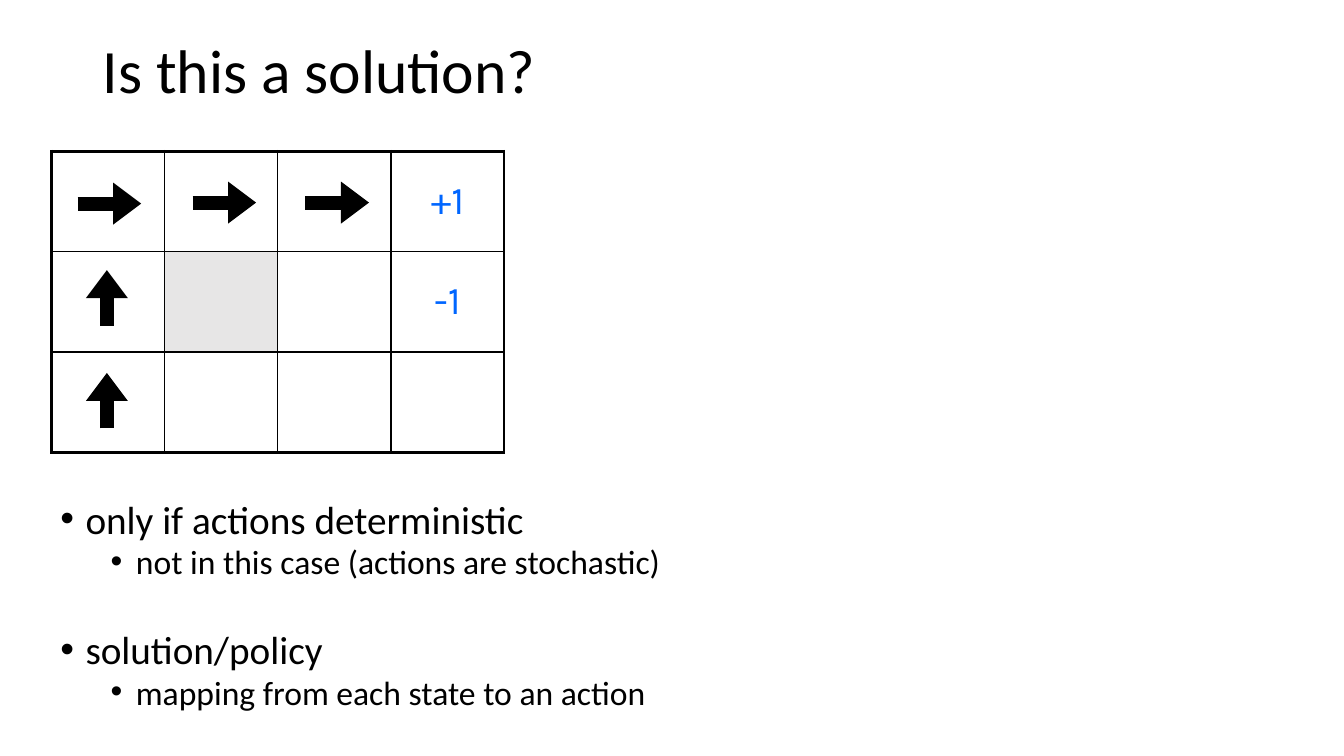
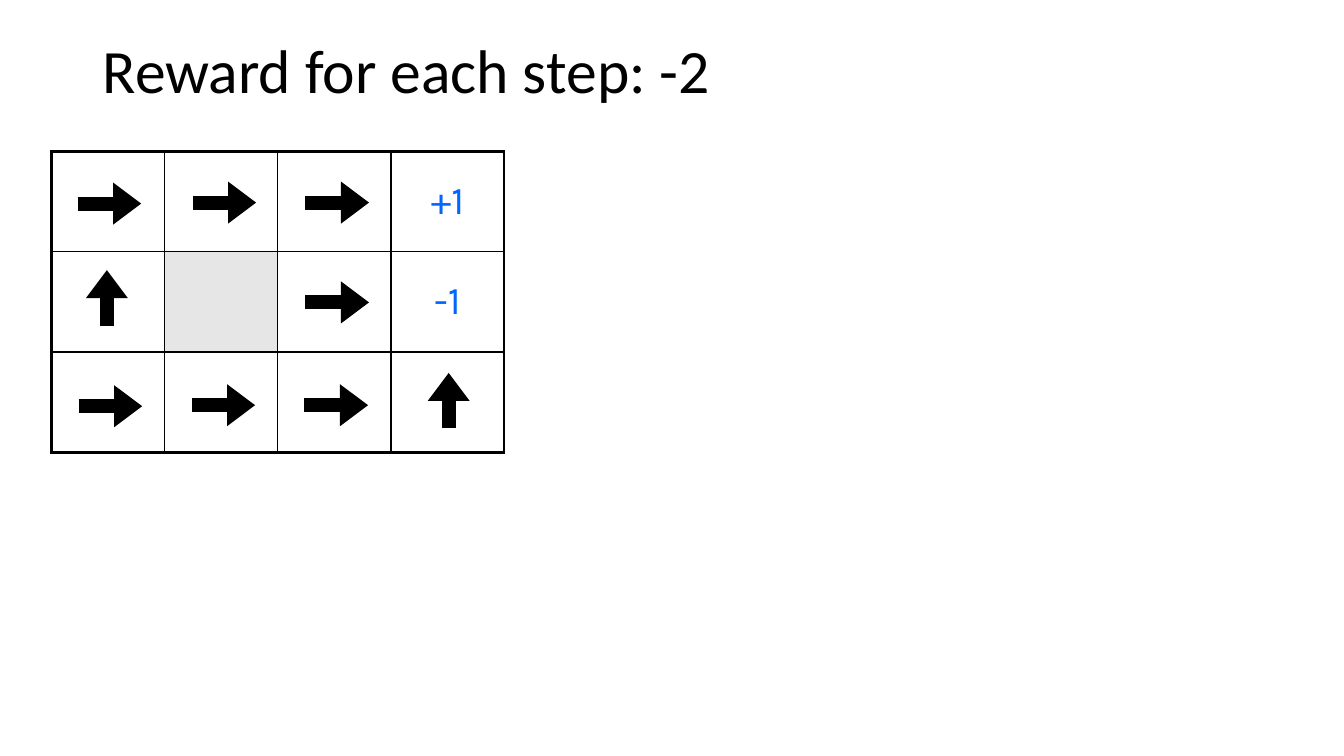
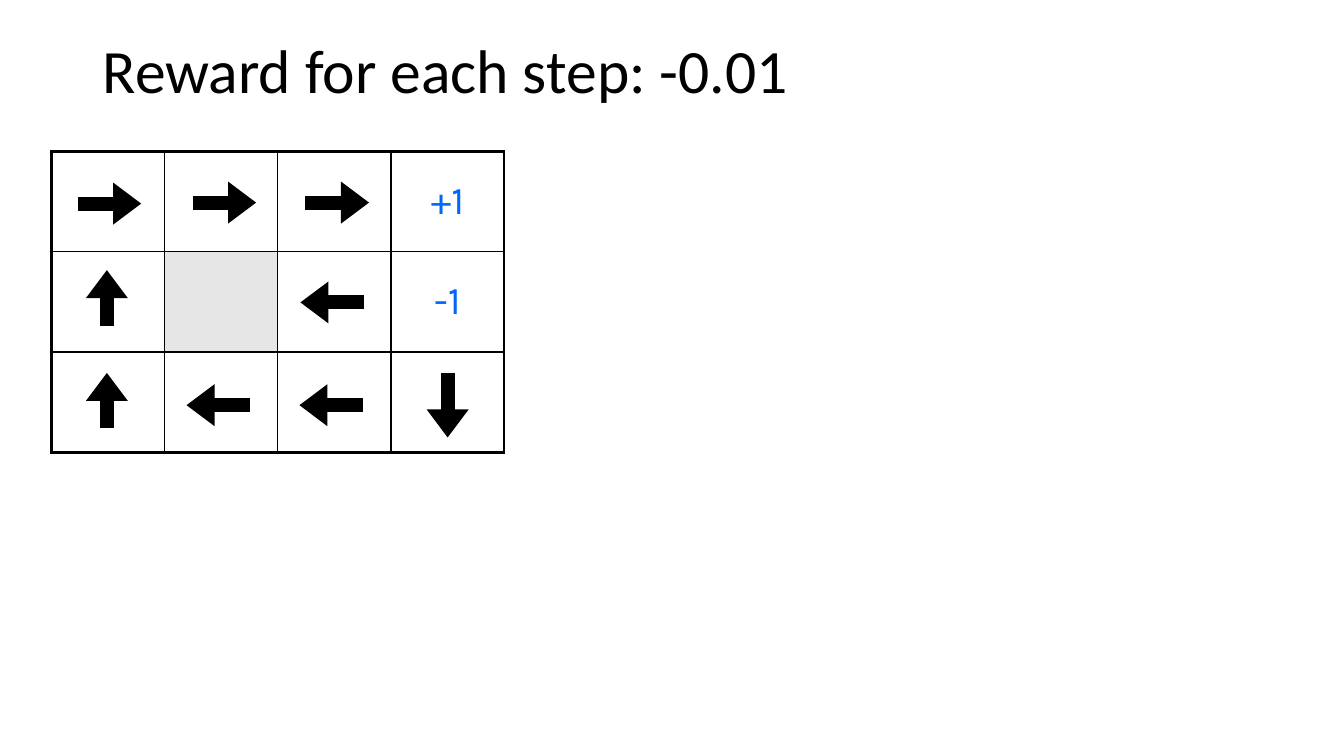
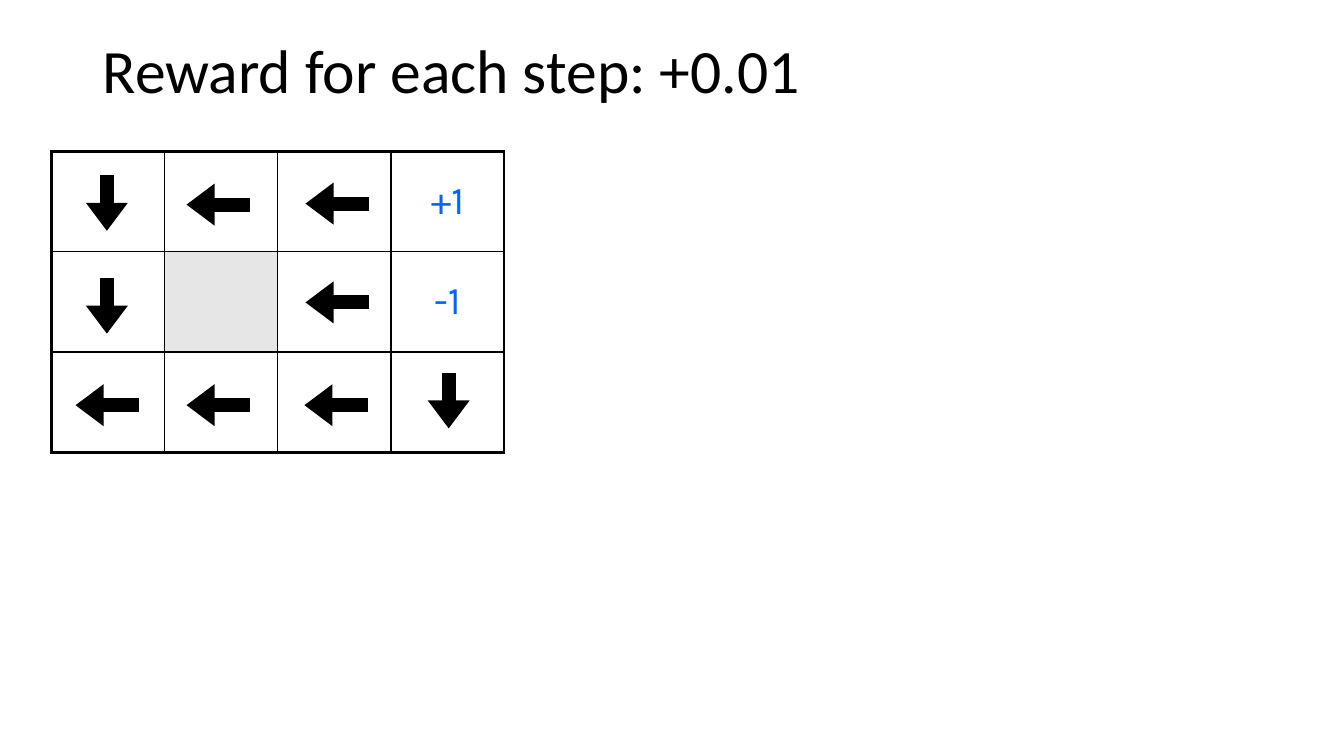
import pptx
import pptx.dml.color
import pptx.enum.shapes
import pptx.enum.text
import pptx.oxml
import pptx.oxml.ns
import pptx.util
from pptx.util import Inches, Pt

BLACK, BLUE, GREY = "000000", "0066FF", "E7E6E6"
DRAWING = pptx.oxml.ns.nsdecls("a")
MIDDLE = pptx.enum.text.MSO_ANCHOR.MIDDLE


def color(hex_text):
    return pptx.dml.color.RGBColor.from_string(hex_text)


def add_span(para, text, size, font="Calibri", ink=BLACK):
    span = para.add_run()
    span.text = text
    span.font.size = Pt(size)
    span.font.name = font
    span.font.color.rgb = color(ink)


# Grid world: four columns by three rows
COLUMNS, ROWS = 4, 3
GRID_LEFT, GRID_TOP, GRID_WIDTH, GRID_HEIGHT = 0.51, 1.5, 4.49, 2.99
REWARDS = {(0, 3): "+1", (1, 3): "-1"}
WALL = (1, 1)

# Horizontal and vertical reach of an arrow, in inches
REACH = {
    "right": (0.63, 0),
    "left": (-0.63, 0),
    "up": (0, -0.55),
    "down": (0, 0.55),
    "long down": (0, 0.64),
}

# Each arrow: direction, then where its tail starts
top_right = [("right", 0.77, 2.02), ("right", 1.91, 2.01), ("right", 3.03, 2.01)]
middle_up = [("up", 1.06, 3.23)]
bottom_up = [("up", 1.06, 4.25)]
policies = [
    ("Is this a solution?", top_right + middle_up + bottom_up),
    ("Reward for each step: -2", top_right + middle_up + [
        ("right", 3.03, 3), ("right", 0.78, 4.03), ("right", 1.9, 4.02),
        ("right", 3.02, 4.02), ("up", 4.45, 4.25)]),
    ("Reward for each step: -0.01", top_right + middle_up + bottom_up + [
        ("left", 3.61, 3), ("left", 2.48, 4.02), ("left", 3.6, 4.02),
        ("long down", 4.44, 3.7)]),
    ("Reward for each step: +0.01", [
        ("down", 1.06, 1.74), ("left", 2.48, 2.03), ("left", 3.66, 2.02),
        ("down", 1.06, 2.76), ("left", 3.66, 3), ("left", 1.38, 4.02),
        ("left", 2.48, 4.02), ("left", 3.65, 4.02), ("down", 4.45, 3.7)]),
]

deck = pptx.Presentation()
deck.slide_width, deck.slide_height = Inches(13.33), Inches(7.5)

for title, arrows in policies:
    page = deck.slides.add_slide(deck.slide_layouts[6])

    # Title
    box = page.shapes.add_textbox(Inches(0.92), Inches(0), Inches(11.5), Inches(1.45))
    box.text_frame.word_wrap = True
    box.text_frame.vertical_anchor = MIDDLE
    para = box.text_frame.paragraphs[0]
    para.line_spacing = 0.9
    add_span(para, title, 44)

    # Grid with a heavy outer border
    table = page.shapes.add_table(
        ROWS, COLUMNS, Inches(GRID_LEFT), Inches(GRID_TOP),
        Inches(GRID_WIDTH), Inches(GRID_HEIGHT)).table
    table.first_row = table.horz_banding = False
    for column in table.columns:
        column.width = Inches(GRID_WIDTH / COLUMNS)
    for row_index, row in enumerate(table.rows):
        row.height = Inches(GRID_HEIGHT / ROWS)
        for column_index, cell in enumerate(row.cells):
            outer_sides = {
                "lnL": column_index == 0,
                "lnR": column_index == COLUMNS - 1,
                "lnT": row_index == 0,
                "lnB": row_index == ROWS - 1,
            }
            properties = cell._tc.get_or_add_tcPr()
            for side, is_outer in outer_sides.items():
                width = Pt(2.25 if is_outer else 1)
                properties.append(pptx.oxml.parse_xml(
                    f'<a:{side} {DRAWING} w="{width}"><a:solidFill>'
                    f'<a:srgbClr val="{BLACK}"/></a:solidFill></a:{side}>'))
            if (row_index, column_index) == WALL:
                cell.fill.solid()
                cell.fill.fore_color.rgb = color(GREY)
            else:
                cell.fill.background()
            if (row_index, column_index) in REWARDS:
                cell.vertical_anchor = MIDDLE
                para = cell.text_frame.paragraphs[0]
                para.alignment = pptx.enum.text.PP_ALIGN.CENTER
                para.space_before = Pt(5.6)
                add_span(para, REWARDS[row_index, column_index], 28, "Karla", BLUE)

    # Policy arrows
    for direction, left, top in arrows:
        across, along = REACH[direction]
        arrow = page.shapes.add_connector(
            pptx.enum.shapes.MSO_CONNECTOR.STRAIGHT, Inches(left), Inches(top),
            Inches(left + across), Inches(top + along))
        arrow.line.width = Pt(10)
        arrow.line.color.rgb = color(BLACK)
        arrow.line._get_or_add_ln().append(pptx.oxml.parse_xml(
            f'<a:tailEnd {DRAWING} type="triangle" w="med" len="sm"/>'))
        arrow._element.spPr.append(pptx.oxml.parse_xml(f"<a:effectLst {DRAWING}/>"))

# Bullets on the first slide: level, space before, text
bullets = [
    (0, 0, "only if actions deterministic"),
    (1, 5, "not in this case (actions are stochastic)"),
    (0, 38.4, "solution/policy"),
    (1, 5, "mapping from each state to an action"),
]
box = deck.slides[0].shapes.add_textbox(Inches(0.5), Inches(4.95), Inches(9), Inches(2.55))
frame = box.text_frame
frame.word_wrap = True
for index, (level, space, text) in enumerate(bullets):
    para = frame.add_paragraph() if index else frame.paragraphs[0]
    para.level = level
    para.line_spacing = 0.8
    para.space_before = Pt(space)
    properties = para._p.get_or_add_pPr()
    properties.set("marL", str(Inches(0.25 + 0.5 * level)))
    properties.set("indent", str(Inches(-0.25)))
    properties.append(pptx.oxml.parse_xml(f'<a:buFont {DRAWING} typeface="Arial"/>'))
    properties.append(pptx.oxml.parse_xml(f'<a:buChar {DRAWING} char="•"/>'))
    add_span(para, text, 28 - 4 * level)

deck.save("out.pptx")
